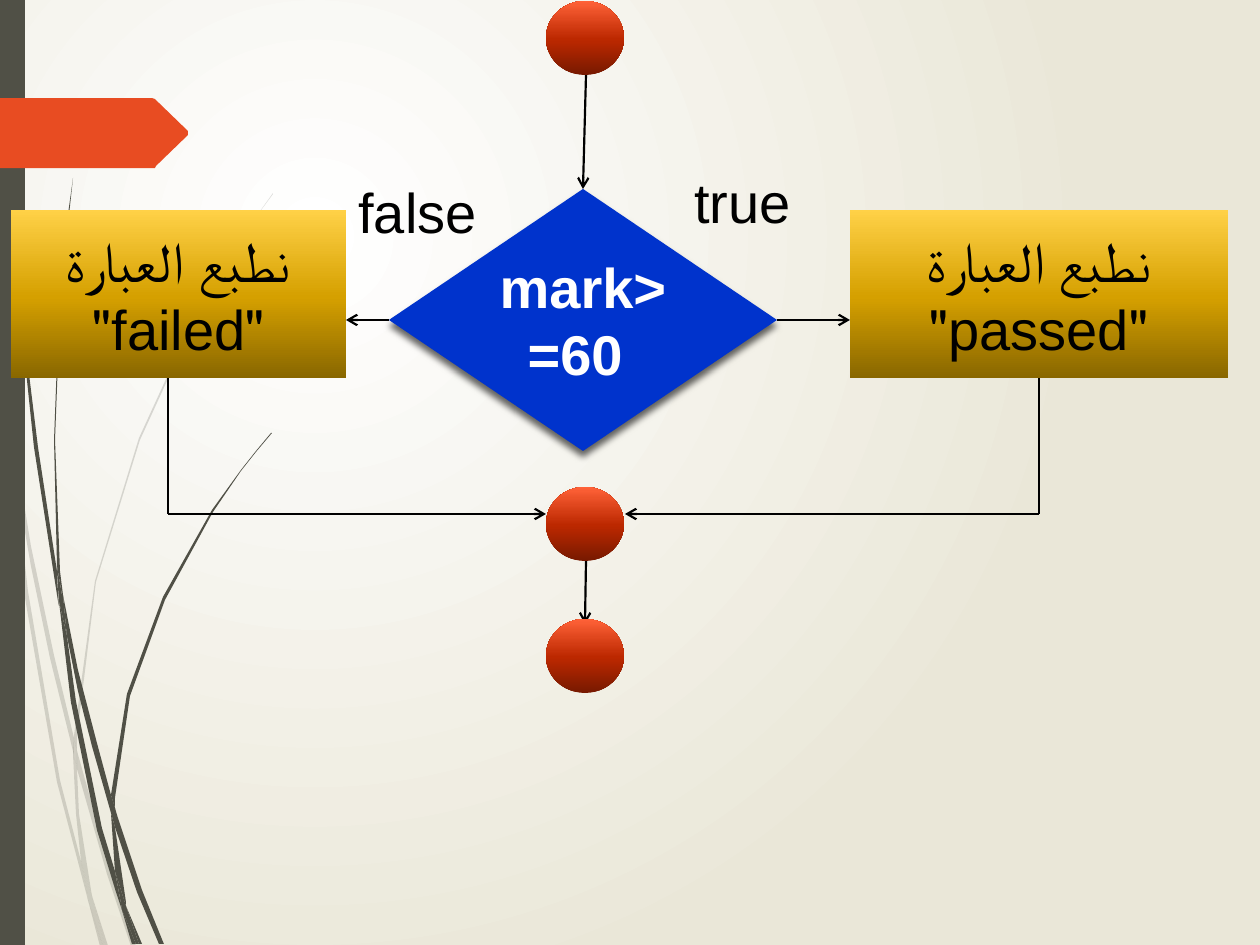
from lxml import etree
from pptx import Presentation
from pptx.dml.color import RGBColor
from pptx.enum.shapes import MSO_CONNECTOR, MSO_SHAPE
from pptx.enum.text import MSO_ANCHOR, PP_ALIGN
from pptx.oxml.ns import qn
from pptx.util import Emu, Pt

STRAIGHT = MSO_CONNECTOR.STRAIGHT
RECTANGLE = MSO_SHAPE.RECTANGLE
OVAL = MSO_SHAPE.OVAL
DIAMOND = MSO_SHAPE.DIAMOND
CENTER = PP_ALIGN.CENTER
MIDDLE = MSO_ANCHOR.MIDDLE

SCALE = 914400 / 126
FONT = "Arial"
TOP, LEFT, BOTTOM, RIGHT = range(4)
COLORS = {"ink": "000000", "white": "FFFFFF", "olive": "505046", "orange": "E84C22", "blue": "0033CC"}
GOLD = [(0, "896700"), (48, "D5A000"), (100, "FFD147")]
RED = [(0, "771900"), (48, "BC2800"), (100, "FF6238")]
PAPER = [(0, "FFFFFF"), (100, "EAE7D8")]

PALE_WISPS = [
    [(10, 441), (8, 406), (0, 355), (0, 377), (9, 433)],
    [(50, 658), (74, 755), (74, 738), (54, 655), (31, 546), (13, 435), (15, 474), (31, 566)],
    [(81, 765), (77, 751), (77, 769), (107, 874), (131, 946), (136, 946), (111, 872)],
    [(105, 946), (108, 946), (92, 896)],
    [(81, 861), (60, 780), (28, 591), (15, 474), (10, 441), (24, 592), (57, 782),
     (81, 873), (88, 900), (87, 891)],
    [(73, 755), (76, 814), (81, 861), (84, 872), (92, 896), (91, 890), (79, 814),
     (77, 769), (77, 766)],
    [(77, 736), (96, 582), (140, 440), (200, 309), (236, 249), (253, 221), (273, 194),
     (273, 193), (253, 221), (234, 248), (199, 307), (139, 438), (95, 581), (74, 736),
     (74, 738), (77, 751)],
    [(88, 900), (100, 946), (103, 946)],
    [(77, 766), (77, 769), (77, 751), (74, 738), (73, 755)],
    [(84, 872), (81, 861), (87, 891), (88, 900), (103, 946), (105, 946), (92, 896)],
]
DARK_WISPS = [
    [(6, 139), (18, 294), (34, 447), (58, 601), (59, 606), (57, 576), (57, 571), (38, 447),
     (19, 292), (8, 137), (5, 60), (4, 0), (3, 0), (4, 60)],
    [(92, 746), (111, 813), (111, 795), (97, 743), (78, 670), (63, 595), (67, 636), (78, 691)],
    [(118, 818), (115, 808), (115, 827), (137, 892), (159, 944), (164, 944), (142, 890)],
    [(115, 871), (102, 828), (76, 701), (67, 636), (59, 601), (71, 702), (97, 830),
     (116, 892), (122, 910), (121, 903)],
    [(63, 595), (60, 571), (55, 440), (60, 309), (66, 243), (73, 178), (64, 243),
     (59, 309), (54, 440), (57, 566), (62, 595)],
    [(139, 944), (142, 944), (126, 906)],
    [(59, 601), (67, 636), (63, 595), (62, 595), (57, 566), (57, 571)],
    [(115, 798), (130, 696), (165, 600), (213, 512), (241, 471), (256, 452), (272, 433),
     (271, 433), (256, 451), (241, 470), (212, 510), (163, 597), (127, 694), (111, 795),
     (115, 808)],
    [(122, 910), (132, 944), (136, 944)],
    [(111, 813), (115, 871), (121, 890), (126, 906), (126, 902), (115, 827), (113, 820)],
    [(111, 813), (113, 820), (115, 827), (115, 808), (111, 795), (111, 798)],
    [(121, 890), (115, 871), (121, 903), (122, 910), (136, 944), (139, 944), (126, 906)],
]
RIBBON = [(188, 135), (156, 166), (155, 168), (152, 168), (0, 168), (0, 98), (152, 98),
          (155, 99), (156, 100), (188, 131)]


def px(length):
    return Emu(round(length * SCALE))


def rgb(name):
    return RGBColor.from_string(COLORS[name])


def node(parent, tag, **attributes):
    return etree.SubElement(parent, qn(tag), {key: str(value) for key, value in attributes.items()})


def set_gradient(fill, holder, stops, circular=False):
    fill.solid()
    solid = holder.find(qn("a:solidFill"))
    gradient = etree.Element(qn("a:gradFill"), rotWithShape="1")
    stop_list = node(gradient, "a:gsLst")
    for position, color in stops:
        node(node(stop_list, "a:gs", pos=position * 1000), "a:srgbClr", val=color)
    if circular:
        focus = node(gradient, "a:path", path="circle")
        node(focus, "a:fillToRect", l=50000, t=50000, r=100000, b=100000)
    else:
        node(gradient, "a:lin", ang=16200000, scaled=1)
    holder.replace(solid, gradient)


def paint(shape, fill):
    shape.shadow.inherit = False
    shape.line.fill.background()
    if isinstance(fill, list):
        set_gradient(shape.fill, shape._element.spPr, fill)
    else:
        shape.fill.solid()
        shape.fill.fore_color.rgb = rgb(fill)


def add_outline(slide, points, fill, opacity=100):
    builder = slide.shapes.build_freeform(*points[0], scale=SCALE)
    builder.add_line_segments(points[1:], close=True)
    outline = builder.convert_to_shape()
    paint(outline, fill)
    if opacity < 100:
        color = outline._element.spPr.find(qn("a:solidFill"))[0]
        node(color, "a:alpha", val=opacity * 1000)


def add_block(slide, kind, box, fill):
    block = slide.shapes.add_shape(kind, *map(px, box))
    paint(block, fill)
    return block


def write(shape, text, color="ink", bold=False, rtl=False):
    paragraph = shape.text_frame.paragraphs[0]
    run = paragraph.add_run()
    run.text = text
    run.font.name = FONT
    run.font.size = Pt(32)
    run.font.bold = bold
    run.font.color.rgb = rgb(color)
    if rtl:
        paragraph._p.get_or_add_pPr().set("rtl", "1")
    return paragraph


def add_step(slide, kind, box, fill, text, **style):
    step = add_block(slide, kind, box, fill)
    step.text_frame.word_wrap = True
    step.text_frame.vertical_anchor = MIDDLE
    write(step, text, **style).alignment = CENTER
    return step


def add_label(slide, box, text):
    label = slide.shapes.add_textbox(*map(px, box))
    label.text_frame.word_wrap = True
    write(label, text)


def cast_shadow(shape):
    effects = shape._element.spPr.find(qn("a:effectLst"))
    shadow = node(effects, "a:outerShdw", blurRad=Pt(4), dist=Pt(3), dir=5400000, rotWithShape=0)
    node(node(shadow, "a:srgbClr", val=COLORS["ink"]), "a:alpha", val=60000)


def add_flow(slide, start, end, arrow=True, source=None, target=None):
    flow = slide.shapes.add_connector(STRAIGHT, *map(px, start + end))
    if source:
        flow.begin_connect(*source)
    if target:
        flow.end_connect(*target)
    flow.line.color.rgb = rgb("ink")
    flow.line.width = Pt(1.25)
    if arrow:
        node(flow.line._get_or_add_ln(), "a:tailEnd", type="arrow")
    node(flow._element.spPr, "a:effectLst")


def add_backdrop(slide):
    fill = slide.background.fill
    fill.solid()
    set_gradient(fill, slide._element.find(".//" + qn("p:bgPr")), PAPER, circular=True)
    for wisps, opacity in ((PALE_WISPS, 20), (DARK_WISPS, 100)):
        for points in wisps:
            add_outline(slide, points, "olive", opacity)
    add_block(slide, RECTANGLE, (0, 0, 25, 945), "olive")
    add_outline(slide, RIBBON, "orange")


def add_flowchart(slide):
    decision = add_step(slide, DIAMOND, (389, 189, 388, 262), "blue", "mark>=60 ",
                        color="white", bold=True)
    cast_shadow(decision)
    passed = add_step(slide, RECTANGLE, (850, 210, 378, 168), GOLD,
                      "نطبع العبارة \"passed\"", rtl=True)
    add_step(slide, RECTANGLE, (11, 210, 335, 168), GOLD,
             "نطبع العبارة \"failed\"", rtl=True)
    add_label(slide, (682, 161, 147, 81), "true")
    add_label(slide, (346, 171, 179, 81), "false")

    add_flow(slide, (586, 75), (583, 189), target=(decision, TOP))
    add_flow(slide, (777, 320), (850, 320), source=(decision, RIGHT))
    add_flow(slide, (389, 320), (346, 320), source=(decision, LEFT))
    add_flow(slide, (1039, 378), (1039, 514), arrow=False, source=(passed, BOTTOM))
    add_flow(slide, (1039, 514), (625, 514))
    add_flow(slide, (168, 378), (168, 514), arrow=False)
    add_flow(slide, (168, 514), (546, 514))
    add_flow(slide, (586, 561), (585, 624))
    for top in (1, 487, 619):
        add_block(slide, OVAL, (546, top, 78, 74), RED)


def main():
    deck = Presentation()
    deck.slide_width, deck.slide_height = px(1260), px(945)
    slide = deck.slides.add_slide(deck.slide_layouts[6])
    add_backdrop(slide)
    add_flowchart(slide)
    deck.save("out.pptx")


if __name__ == "__main__":
    main()
